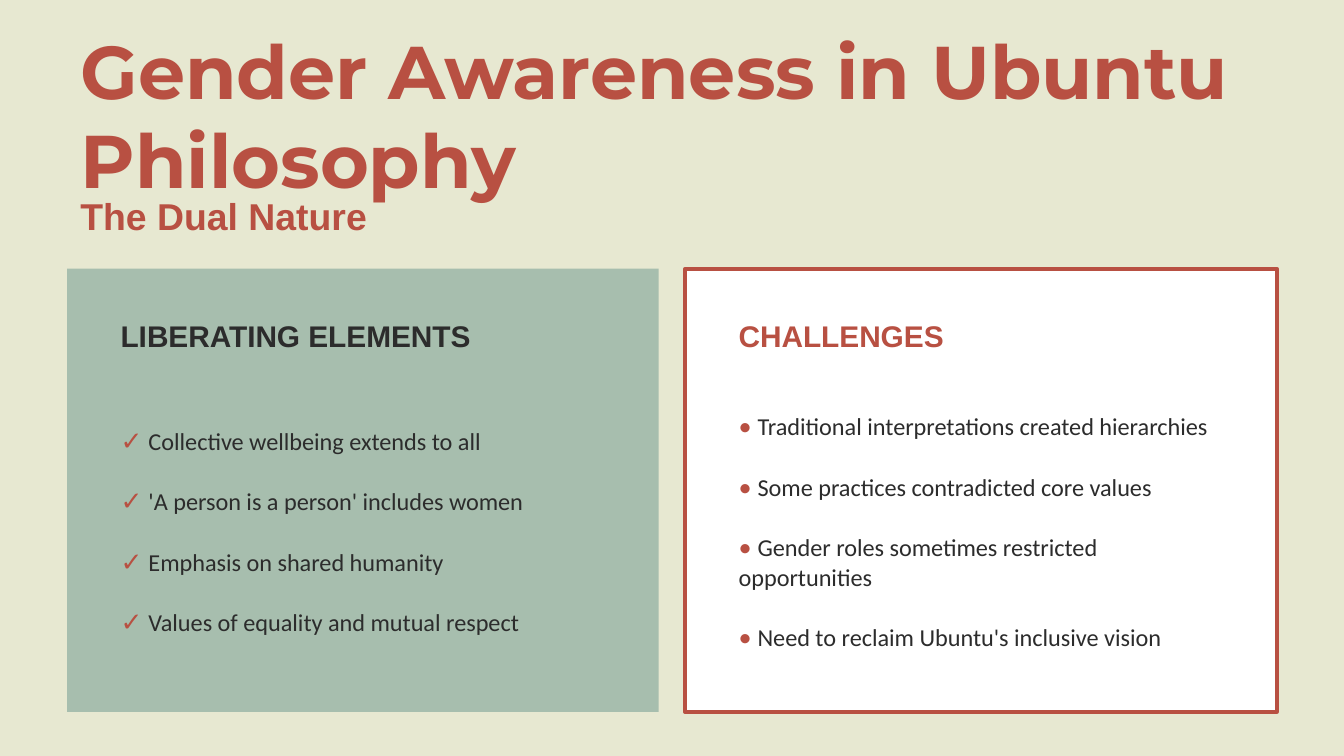
from dataclasses import dataclass

from pptx import Presentation
from pptx.dml.color import RGBColor
from pptx.enum.shapes import MSO_SHAPE
from pptx.enum.text import MSO_ANCHOR, MSO_AUTO_SIZE, PP_ALIGN
from pptx.util import Cm, Pt


@dataclass(frozen=True)
class Theme:
    background: str = "E7E8D1"
    accent: str = "B85042"
    sage: str = "A7BEAE"
    white: str = "FFFFFF"
    ink: str = "2C2C2C"
    title_size: int = 40
    subtitle_size: int = 20
    heading_size: int = 16
    mark_size: int = 14
    body_size: int = 13


theme = Theme()


def place(sp, left, top, width, height):
    """Position a text shape and give it the common frame settings."""
    sp.left, sp.top, sp.width, sp.height = Cm(left), Cm(top), Cm(width), Cm(height)
    tf = sp.text_frame
    tf.word_wrap = True
    tf.auto_size = MSO_AUTO_SIZE.NONE
    tf.vertical_anchor = MSO_ANCHOR.MIDDLE
    tf.paragraphs[0].alignment = PP_ALIGN.LEFT
    return tf


def add_run(p, text, *, size, color, font="Arial", bold=False):
    r = p.add_run()
    r.text = text
    r.font.name = font
    r.font.size = Pt(size)
    r.font.bold = bold
    r.font.color.rgb = RGBColor.from_string(color)


prs = Presentation()
prs.slide_width, prs.slide_height = Cm(25.4), Cm(14.29)
s = prs.slides.add_slide(prs.slide_layouts[5])
s.background.fill.solid()
s.background.fill.fore_color.rgb = RGBColor.from_string(theme.background)

# Title and subtitle
margin, content_width = 1.27, 22.86
tf = place(s.shapes.title, margin, 1.27, content_width, 1.78)
add_run(tf.paragraphs[0], "Gender Awareness in Ubuntu Philosophy",
        size=theme.title_size, color=theme.accent, font="Montserrat", bold=True)
tf = place(s.shapes.add_textbox(0, 0, 0, 0), margin, 3.56, content_width, 1.02)
add_run(tf.paragraphs[0], "The Dual Nature",
        size=theme.subtitle_size, color=theme.accent, bold=True)

# Two cards: heading, heading colour, fill, outline, mark, items
cards = [
    ("LIBERATING ELEMENTS", theme.ink, theme.sage, None, "✓", [
        "Collective wellbeing extends to all",
        "'A person is a person' includes women",
        "Emphasis on shared humanity",
        "Values of equality and mutual respect",
    ]),
    ("CHALLENGES", theme.accent, theme.white, theme.accent, "•", [
        "Traditional interpretations created hierarchies",
        "Some practices contradicted core values",
        "Gender roles sometimes restricted opportunities",
        "Need to reclaim Ubuntu's inclusive vision",
    ]),
]
card_top, card_width, card_height = 5.08, 11.18, 8.38
padding = 0.76
gap = content_width - 2 * card_width
text_width = card_width - 2 * padding

for i, (heading, heading_color, fill, outline, mark, items) in enumerate(cards):
    left = margin + i * (card_width + gap)
    card = s.shapes.add_shape(MSO_SHAPE.RECTANGLE, Cm(left), Cm(card_top),
                              Cm(card_width), Cm(card_height))
    card.shadow.inherit = False
    card.fill.solid()
    card.fill.fore_color.rgb = RGBColor.from_string(fill)
    if outline:
        card.line.color.rgb = RGBColor.from_string(outline)
        card.line.width = Pt(2)
    else:
        card.line.fill.background()

    tf = place(s.shapes.add_textbox(0, 0, 0, 0),
               left + padding, card_top + padding, text_width, 1.02)
    add_run(tf.paragraphs[0], heading,
            size=theme.heading_size, color=heading_color, bold=True)

    tf = place(s.shapes.add_textbox(0, 0, 0, 0),
               left + padding, card_top + 2.03, text_width, 5.84)
    for n, item in enumerate(items):
        p = tf.add_paragraph() if n else tf.paragraphs[0]
        p.alignment = PP_ALIGN.LEFT
        p.space_before = Pt(15.5 if n else 0)
        add_run(p, mark + " ", size=theme.mark_size, color=theme.accent, font="Calibri")
        add_run(p, item, size=theme.body_size, color=theme.ink, font="Calibri")

prs.save("out.pptx")
